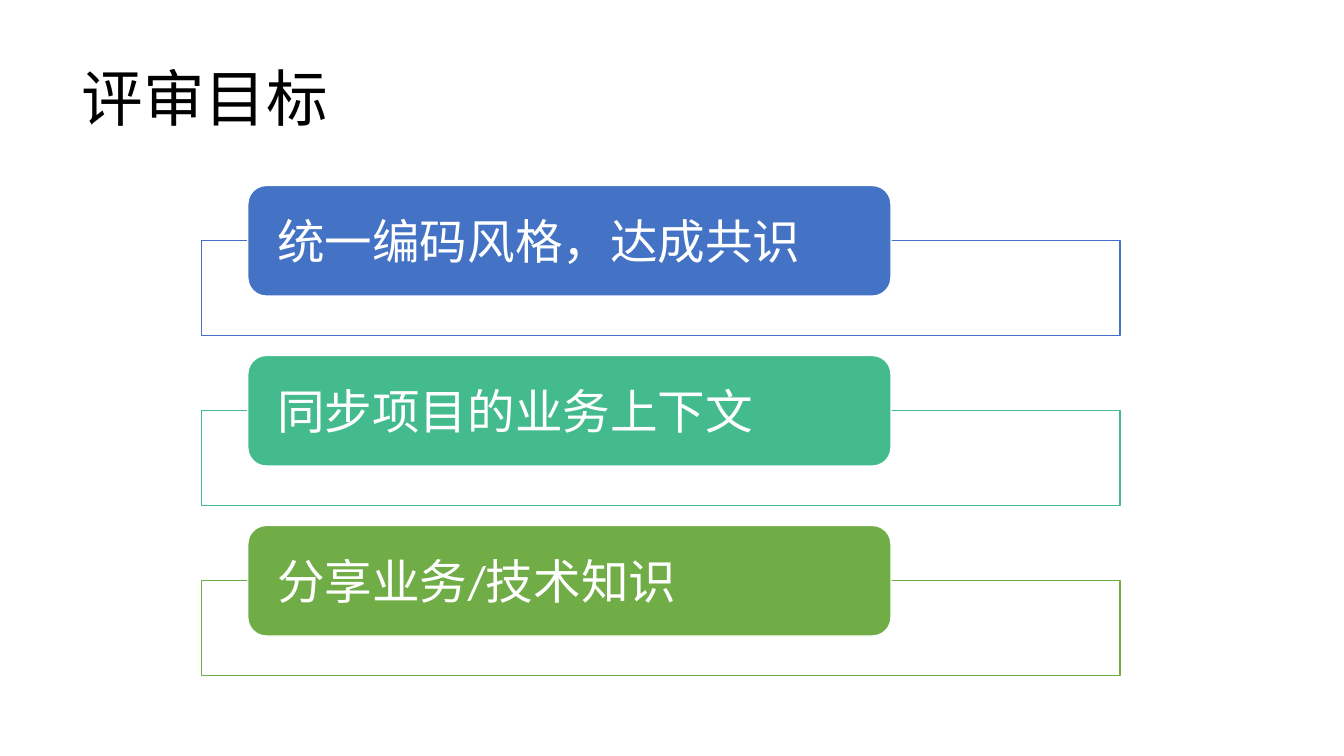
from lxml.etree import SubElement
from pptx import Presentation
from pptx.dml.color import RGBColor
from pptx.enum.shapes import MSO_SHAPE as Shape
from pptx.enum.text import MSO_ANCHOR as Anchor, PP_ALIGN as Align
from pptx.oxml.ns import qn
from pptx.util import Pt

COLORS = {"white": "FFFFFF", "black": "000000",
          "blue": "4472C4", "teal": "43BB8D", "green": "71AD47"}
CJK_FONT = "Noto Sans CJK SC"


def write(shape, text, font, size, color, frame_format, para_format):
    frame = shape.text_frame
    for name, value in frame_format.items():
        setattr(frame, name, value)
    para = frame.paragraphs[0]
    for name, value in para_format.items():
        setattr(para, name, value)
    span = para.add_run()
    span.text = text
    span.font.name = font
    span.font.size = Pt(size)
    span.font.color.rgb = RGBColor.from_string(COLORS[color])
    SubElement(span.font._element, qn("a:ea"), typeface=CJK_FONT)


def add_box(kind, left, top, width, height, fill, line):
    box = page.shapes.add_shape(kind, Pt(left), Pt(top), Pt(width), Pt(height))
    box.shadow.inherit = False
    box.fill.solid()
    box.fill.fore_color.rgb = RGBColor.from_string(COLORS[fill])
    box.line.color.rgb = RGBColor.from_string(COLORS[line])
    box.line.width = Pt(1)
    return box


deck = Presentation()
deck.slide_width, deck.slide_height = Pt(960), Pt(540)
page = deck.slides.add_slide(deck.slide_layouts[5])

# Title
title = page.shapes.title
title.left, title.top, title.width, title.height = Pt(51), Pt(20), Pt(828), Pt(104.4)
write(title, "评审目标", CJK_FONT, 44, "black",
      {"vertical_anchor": Anchor.MIDDLE, "word_wrap": True},
      {"alignment": Align.LEFT, "line_spacing": 0.9})

# Goals: an outlined frame with a coloured label over its top edge
GOALS = [("统一编码风格，达成共识", "blue"),
         ("同步项目的业务上下文", "teal"),
         ("分享业务/技术知识", "green")]
FIRST_TOP, PITCH = 132.5, 121.4
LABEL_HEIGHT = 79

label_frame = {"vertical_anchor": Anchor.MIDDLE, "word_wrap": True,
               "margin_left": Pt(17.3), "margin_right": Pt(17.3),
               "margin_top": 0, "margin_bottom": 0}
for index, (goal, color) in enumerate(GOALS):
    top = FIRST_TOP + index * PITCH
    outline = add_box(Shape.RECTANGLE, 144, top + LABEL_HEIGHT / 2, 656, 67.7,
                      "white", color)
    fill_color = outline.fill._xPr.find(qn("a:solidFill"))[0]
    SubElement(fill_color, qn("a:alpha"), val="90000")
    label = add_box(Shape.ROUNDED_RECTANGLE, 177, top, 459.4, LABEL_HEIGHT,
                    color, "white")
    write(label, goal, "Calibri", 34, "white", label_frame,
          {"alignment": Align.LEFT})

deck.save("out.pptx")
